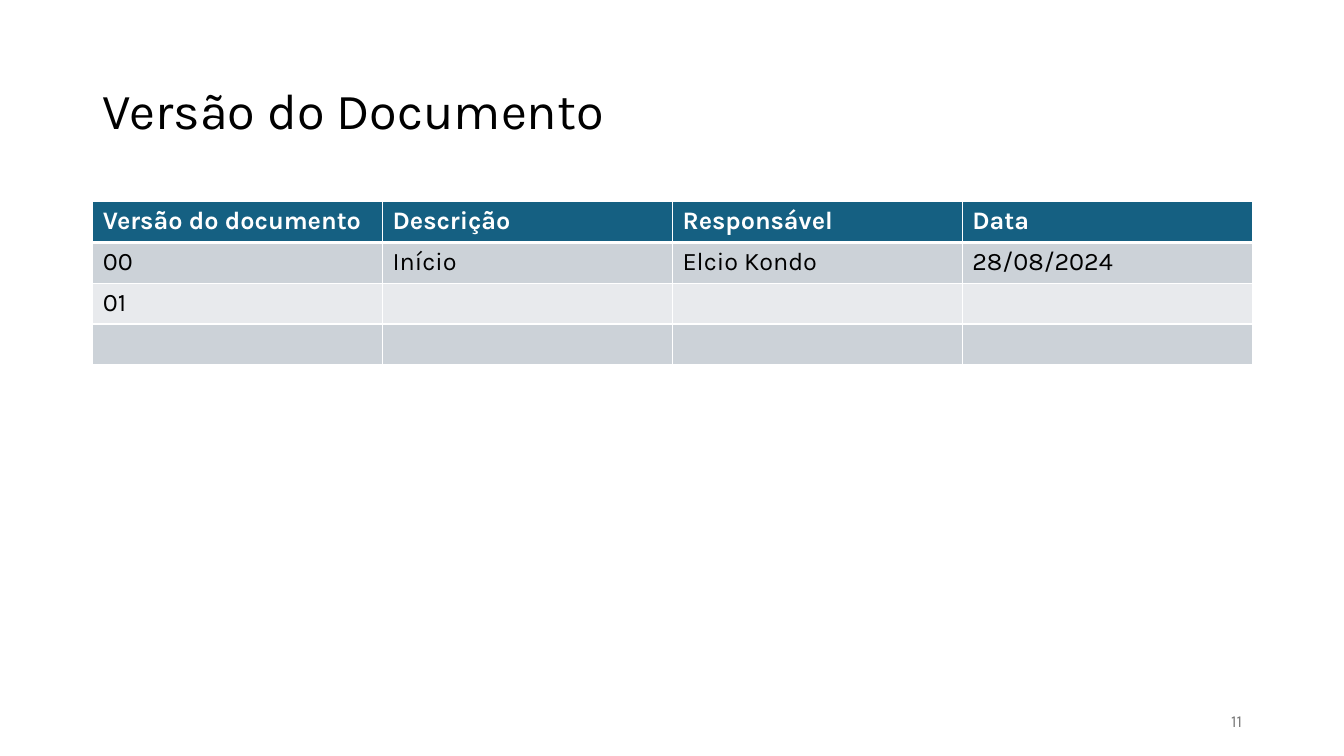
from lxml import etree
from pptx import Presentation
from pptx.dml.color import RGBColor
from pptx.enum import text
from pptx.oxml import ns
from pptx.util import Inches, Pt

FONT = "Karla"
HEADER_FILL = "156082"
BAND_FILLS = ("CCD2D8", "E8EAED")
LEFT, WIDTH = 0.92, 11.5
ROWS = [
    ("Versão do documento", "Descrição", "Responsável", "Data"),
    ("00", "Início", "Elcio Kondo", "28/08/2024"),
    ("01", "", "", ""),
    ("", "", "", ""),
]


def color(hex_code):
    return RGBColor.from_string(hex_code)


def write(tf, content, size, hex_code, bold=False):
    tf.text = content
    p = tf.paragraphs[0]
    p.font.name = FONT
    p.font.size = Pt(size)
    p.font.bold = bold
    p.font.color.rgb = color(hex_code)
    return p


def place(sp, left, top, width, height):
    sp.left, sp.top = Inches(left), Inches(top)
    sp.width, sp.height = Inches(width), Inches(height)


def add_title(slide, content):
    sp = slide.shapes.title
    place(sp, LEFT, 0.4, WIDTH, 1.45)
    tf = sp.text_frame
    tf.word_wrap = True
    tf.vertical_anchor = text.MSO_ANCHOR.MIDDLE
    p = write(tf, content, 36, "000000")
    p.alignment = text.PP_ALIGN.LEFT
    p.line_spacing = 0.9


def add_page_number(slide, number):
    sp = slide.shapes.add_textbox(Inches(9.42), Inches(6.95), Inches(3), Inches(0.4))
    tf = sp.text_frame
    tf.word_wrap = True
    tf.vertical_anchor = text.MSO_ANCHOR.MIDDLE
    write(tf, number, 12, "797979").alignment = text.PP_ALIGN.RIGHT


def set_borders(cell, top, bottom):
    """Draw white cell borders; top and bottom widths are in points."""
    tc_pr = cell._tc.get_or_add_tcPr()
    widths = {"a:lnL": 1, "a:lnR": 1, "a:lnT": top, "a:lnB": bottom}
    for i, (tag, width) in enumerate(widths.items()):
        ln = etree.Element(ns.qn(tag), w=str(Pt(width)))
        fill = etree.SubElement(ln, ns.qn("a:solidFill"))
        etree.SubElement(fill, ns.qn("a:srgbClr"), val="FFFFFF")
        tc_pr.insert(i, ln)


def add_version_table(slide, rows):
    frame = slide.shapes.add_table(len(rows), len(rows[0]), Inches(LEFT), Inches(2),
                                   Inches(WIDTH), Inches(1.62))
    for r, values in enumerate(rows):
        header = r == 0
        for c, value in enumerate(values):
            cell = frame.table.cell(r, c)
            write(cell.text_frame, value, 18, "FFFFFF" if header else "000000", header)
            cell.fill.solid()
            cell.fill.fore_color.rgb = color(HEADER_FILL if header else BAND_FILLS[(r - 1) % 2])
            # A thicker rule separates the header from the body
            set_borders(cell, top=3 if r == 1 else 1, bottom=3 if header else 1)


def main():
    prs = Presentation()
    prs.slide_width, prs.slide_height = Inches(13.33), Inches(7.5)
    slide = prs.slides.add_slide(prs.slide_layouts[5])

    # Heading, version history and page number
    add_title(slide, "Versão do Documento")
    add_version_table(slide, ROWS)
    add_page_number(slide, "11")

    prs.save("out.pptx")


if __name__ == "__main__":
    main()
